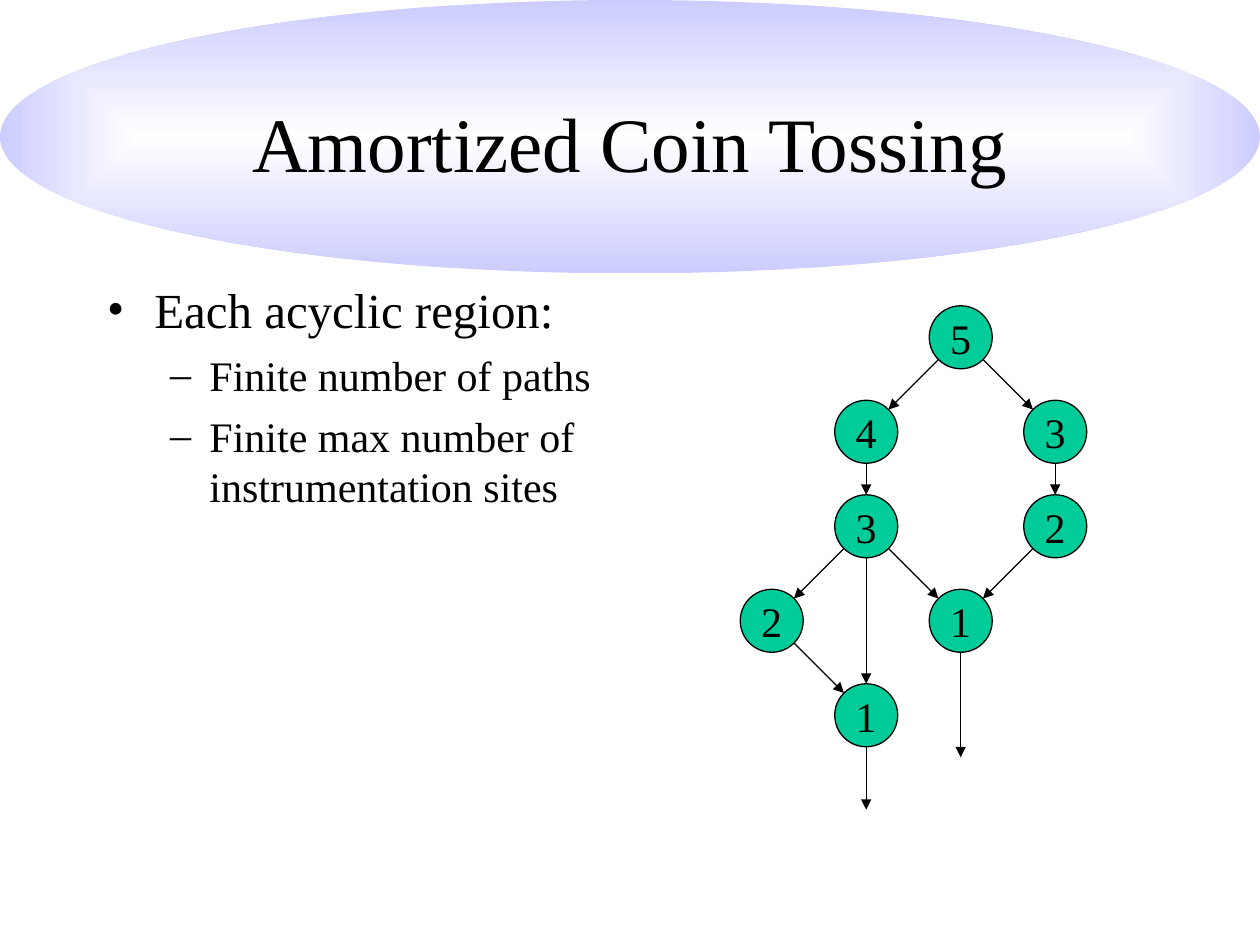
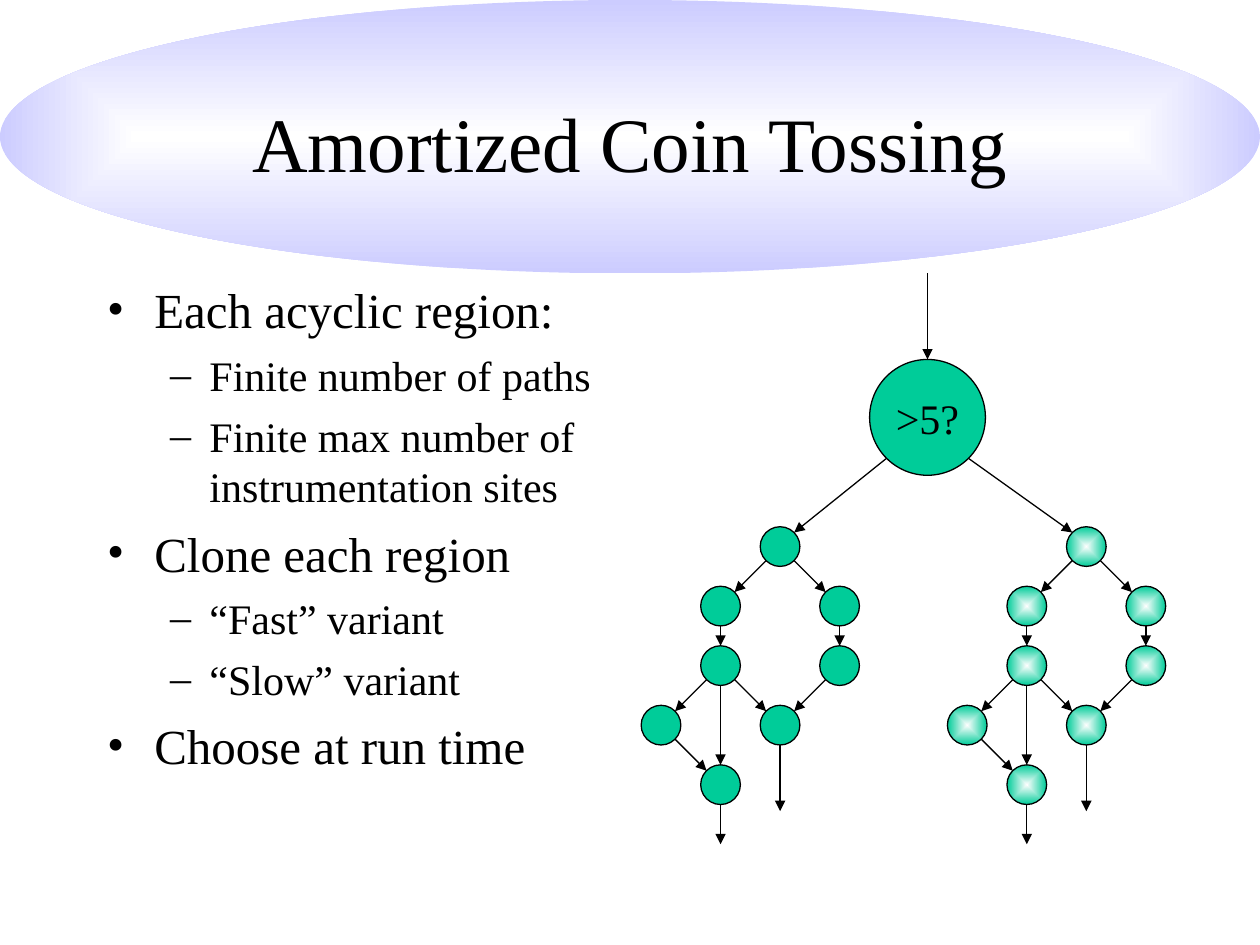
"""Build two slides on amortized coin tossing over acyclic regions."""

from math import sqrt
from typing import NamedTuple

from lxml.etree import SubElement
from pptx import Presentation
from pptx.dml.color import RGBColor
from pptx.enum.shapes import MSO_CONNECTOR as Link, MSO_SHAPE as Preset
from pptx.enum.text import MSO_ANCHOR as Anchor, MSO_AUTO_SIZE as Fit, PP_ALIGN as Align
from pptx.oxml.ns import qn
from pptx.util import Pt

COLORS = {"ink": "000000", "node": "00CC99", "glow": "FEFEFE",
          "band": "CCCCFF", "paper": "FFFFFF"}
FONT = "Times New Roman"
BAND_HEIGHT = 156.25
TITLE = "Amortized Coin Tossing"
TITLE_FRAME = {"left": Pt(54), "top": Pt(36), "width": Pt(612), "height": Pt(90)}
BODY_FRAME = {"left": Pt(54), "top": Pt(BAND_HEIGHT), "width": Pt(300), "height": Pt(324)}
LEVELS = [{"size": 28, "space": 7, "bullet": "•"},
          {"size": 24, "space": 6, "bullet": "–"}]

REGION_ITEMS = [(0, "Each acyclic region:"),
                (1, "Finite number of paths"),
                (1, "Finite max number of instrumentation sites")]
CLONE_ITEMS = [(0, "Clone each region"),
               (1, "“Fast” variant"),
               (1, "“Slow” variant"),
               (0, "Choose at run time")]

NODE_SIZE, GRID_STEP = 36, 54
NODES = {"top": (2, 0, "5"), "left": (1, 1, "4"), "right": (3, 1, "3"),
         "fork": (1, 2, "3"), "side": (3, 2, "2"), "branch": (0, 3, "2"),
         "merge": (2, 3, "1"), "last": (1, 4, "1")}
EDGES = [("top", "right"), ("top", "left"), ("left", "fork"), ("fork", "branch"),
         ("fork", "last"), ("fork", "merge"), ("right", "side"),
         ("branch", "last"), ("side", "merge")]
EXITS = {"last": 36, "merge": 60}


class Circle(NamedTuple):
    x: float
    y: float
    radius: float


def color(name):
    return RGBColor.from_string(COLORS[name])


def set_all(target, values):
    for name, value in values.items():
        setattr(target, name, value)


def style_span(span, size):
    set_all(span.font, {"name": FONT, "size": Pt(size)})
    span.font.color.rgb = color("ink")


def fill_solid(shape, name):
    shape.fill.solid()
    shape.fill.fore_color.rgb = color(name)


def fill_from_center(shape, inner, outer):
    shape.fill.gradient()
    for stop, name, position in zip(shape.fill.gradient_stops, (inner, outer), (0, 1)):
        stop.color.rgb = color(name)
        stop.position = position
    gradient = shape.element.spPr.find(qn("a:gradFill"))
    gradient.remove(gradient.find(qn("a:lin")))
    spread = SubElement(gradient, qn("a:path"), path="rect")
    SubElement(spread, qn("a:fillToRect"), l="50000", t="50000", r="50000", b="50000")


def outline(shape):
    shape.line.color.rgb = color("ink")
    shape.line.width = Pt(0.75)


def add_master_band(deck, page):
    band = page.shapes.add_shape(Preset.OVAL, 0, 0, deck.slide_width, Pt(BAND_HEIGHT))
    band.shadow.inherit = False
    band.line.fill.background()
    fill_from_center(band, "paper", "band")
    band.element.nvSpPr.cNvPr.set("id", "20")
    deck.slide_master.element.cSld.spTree.insert(2, band.element)


def add_title(page):
    title = page.shapes.title
    set_all(title, TITLE_FRAME)
    set_all(title.text_frame, {"text": TITLE, "vertical_anchor": Anchor.MIDDLE,
                               "auto_size": Fit.NONE})
    para = title.text_frame.paragraphs[0]
    para.alignment = Align.CENTER
    style_span(para.runs[0], 44)


def add_bullets(page, items):
    body = page.placeholders[1]
    set_all(body, BODY_FRAME)
    frame = body.text_frame
    frame.text = "\n".join(text for _, text in items)
    frame.auto_size = Fit.NONE
    for para, (level, _) in zip(frame.paragraphs, items):
        look = LEVELS[level]
        set_all(para, {"level": level, "space_before": Pt(look["space"])})
        style_span(para.runs[0], look["size"])
        properties = para._p.get_or_add_pPr()
        SubElement(properties, qn("a:buFont"), typeface=FONT)
        SubElement(properties, qn("a:buChar"), char=look["bullet"])


def add_node(shapes, circle, text="", glowing=False):
    x, y, radius = circle
    node = shapes.add_shape(Preset.FLOWCHART_CONNECTOR, Pt(x - radius), Pt(y - radius),
                            Pt(2 * radius), Pt(2 * radius))
    node.shadow.inherit = False
    if glowing:
        fill_from_center(node, "glow", "node")
    else:
        fill_solid(node, "node")
    outline(node)
    if text:
        set_all(node.text_frame, {"text": text, "word_wrap": False,
                                  "vertical_anchor": Anchor.MIDDLE})
        para = node.text_frame.paragraphs[0]
        para.alignment = Align.CENTER
        style_span(para.runs[0], 24)


def add_arrow(shapes, start, end):
    arrow = shapes.add_connector(Link.STRAIGHT, *map(Pt, (*start, *end)))
    outline(arrow)
    properties = arrow.element.spPr
    SubElement(properties.find(qn("a:ln")), qn("a:tailEnd"), type="triangle")
    SubElement(properties, qn("a:effectLst"))


def link_circles(shapes, upper, lower):
    side = (lower.x > upper.x) - (lower.x < upper.x)
    reach = 1 / sqrt(2) if side else 1
    start = (upper.x + side * reach * upper.radius, upper.y + reach * upper.radius)
    end = (lower.x - side * reach * lower.radius, lower.y - reach * lower.radius)
    add_arrow(shapes, start, end)


def add_region(shapes, left, top, scale=1.0, labelled=False, glowing=False):
    radius, step = scale * NODE_SIZE / 2, scale * GRID_STEP
    circles = {}
    for name, (column, row, label) in NODES.items():
        circles[name] = Circle(left + radius + column * step, top + radius + row * step, radius)
        add_node(shapes, circles[name], label if labelled else "", glowing)
    for upper, lower in EDGES:
        link_circles(shapes, circles[upper], circles[lower])
    for name, length in EXITS.items():
        x, y, _ = circles[name]
        add_arrow(shapes, (x, y + radius), (x, y + radius + scale * length))
    return circles["top"]


def add_choice(page):
    variants = [add_region(page.shapes.add_group_shape().shapes, left, 301, 0.63, glowing=glowing)
                for left, glowing in ((366.4, False), (541.4, True))]
    shapes = page.shapes.add_group_shape().shapes
    choice = Circle(530, 238.5, 33.1)
    add_node(shapes, choice, ">5?")
    for entry in variants:
        link_circles(shapes, choice, entry)
    add_arrow(shapes, (choice.x, BAND_HEIGHT), (choice.x, choice.y - choice.radius))


def add_page(deck, items):
    page = deck.slides.add_slide(deck.slide_layouts[1])
    add_title(page)
    add_bullets(page, items)
    return page


def main():
    deck = Presentation()
    set_all(deck, {"slide_width": Pt(720), "slide_height": Pt(540)})
    region_page = add_page(deck, REGION_ITEMS)
    add_master_band(deck, region_page)
    add_region(region_page.shapes, 423, 174.75, labelled=True)
    add_choice(add_page(deck, REGION_ITEMS + CLONE_ITEMS))
    deck.save("out.pptx")


if __name__ == "__main__":
    main()
